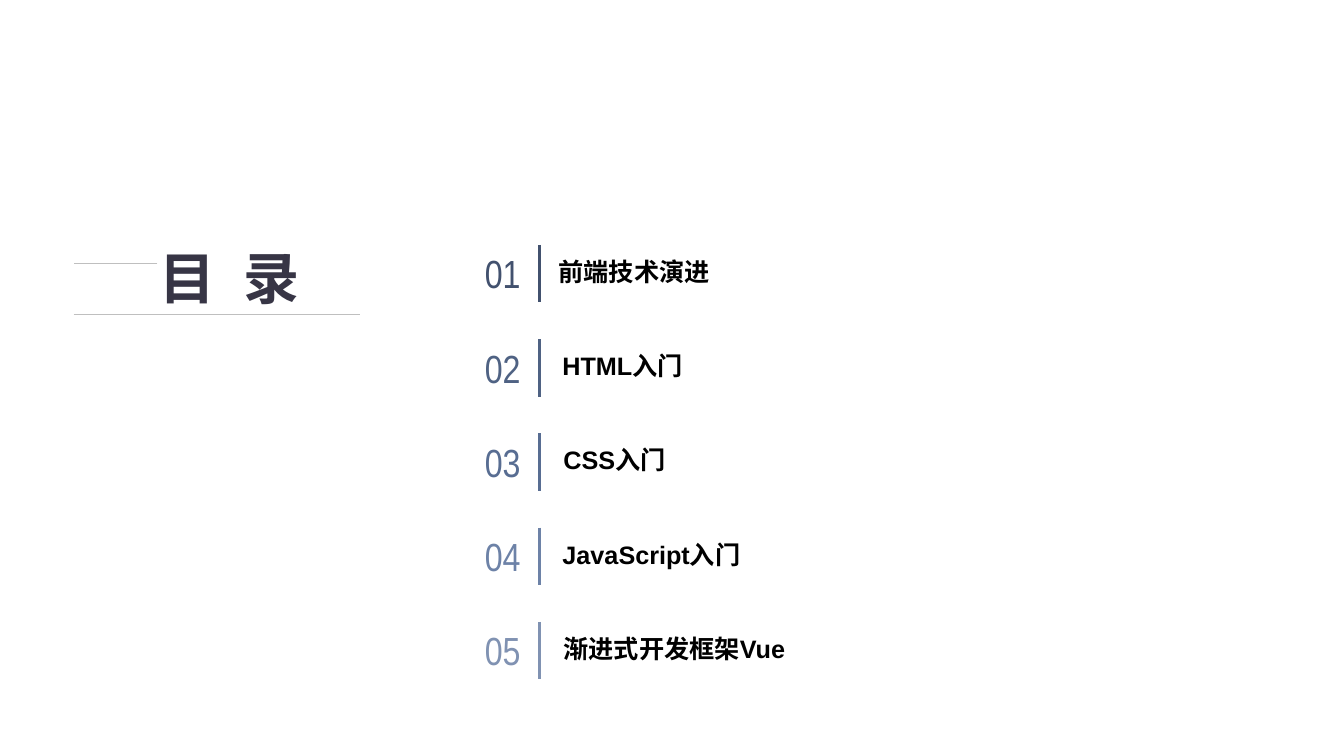
"""Build the contents slide: a ruled heading beside five numbered chapters."""
from lxml import etree
from pptx import Presentation
from pptx import util as u
from pptx.dml.color import RGBColor
from pptx.enum import shapes, text
from pptx.oxml.ns import qn

HEADING = "目 录"
HEADING_COLOR = RGBColor(0x37, 0x35, 0x45)
RULE_COLOR = RGBColor(0xBF, 0xBF, 0xBF)
LABEL_COLOR = RGBColor(0, 0, 0)

# label, accent colour, left edge of the label
CHAPTERS = [
    ("前端技术演进", RGBColor(0x42, 0x51, 0x6E), 5.44),
    ("HTML入门", RGBColor(0x4F, 0x62, 0x83), 5.48),
    ("CSS入门", RGBColor(0x58, 0x6D, 0x92), 5.49),
    ("JavaScript入门", RGBColor(0x6D, 0x82, 0xA7), 5.48),
    ("渐进式开发框架Vue", RGBColor(0x80, 0x92, 0xB2), 5.49),
]
HEADING_RULES = [(1.56, 0.73, 2.61), (0.73, 3.57, 3.12)]
FIRST_ROW, ROW_PITCH = 2.43, 0.935
NUMBER_LEFT, BAR_LEFT, BAR_HEIGHT = 4.71, 5.35, 0.57


def add_line(parent, start, end, color, width):
    points = [u.Inches(value) for value in (*start, *end)]
    line = parent.add_connector(shapes.MSO_CONNECTOR.STRAIGHT, *points)
    line.line.color.rgb = color
    line.line.width = u.Pt(width)
    etree.SubElement(line._element.spPr, qn("a:effectLst"))


def set_text(box, words, font, size, color, bold, anchor):
    frame = box.text_frame
    frame.word_wrap = False
    frame.auto_size = text.MSO_AUTO_SIZE.NONE
    frame.vertical_anchor = anchor
    para = frame.paragraphs[0]
    para.text = words
    para.alignment = text.PP_ALIGN.LEFT
    para.font.name = font
    para.font.size = u.Pt(size)
    para.font.bold = bold
    para.font.color.rgb = color
    return para


def add_heading(page):
    title = page.shapes.title
    title.left, title.top = u.Inches(1.48), u.Inches(2.43)
    title.width, title.height = u.Inches(1.75), u.Inches(0.72)
    para = set_text(title, HEADING, "Arial", 40, HEADING_COLOR, True,
                    text.MSO_ANCHOR.MIDDLE)
    para.line_spacing = 0.9
    para.runs[0].font._element.set("spc", "550")
    for start, end, height in HEADING_RULES:
        add_line(page.shapes, (start, height), (end, height), RULE_COLOR, 0.5)


def add_chapter(page, index, label, color, label_left):
    top = FIRST_ROW + index * ROW_PITCH
    parts = page.shapes.add_group_shape().shapes
    number = parts.add_textbox(u.Inches(NUMBER_LEFT), u.Inches(top + 0.03),
                               u.Inches(0.55), u.Inches(0.5))
    set_text(number, f"{index + 1:02d}", "Arial Narrow", 28, color, False,
             text.MSO_ANCHOR.MIDDLE)
    add_line(parts, (BAR_LEFT, top), (BAR_LEFT, top + BAR_HEIGHT), color, 2.25)
    name = parts.add_textbox(u.Inches(label_left), u.Inches(top + 0.08),
                             u.Inches(3.95), u.Inches(0.38))
    set_text(name, label, "Arial", 18, LABEL_COLOR, True,
             text.MSO_ANCHOR.BOTTOM)


def main():
    deck = Presentation()
    deck.slide_width, deck.slide_height = u.Inches(13.33), u.Inches(7.5)
    page = deck.slides.add_slide(deck.slide_layouts[5])
    add_heading(page)
    for index, chapter in enumerate(CHAPTERS):
        add_chapter(page, index, *chapter)
    deck.save("out.pptx")


if __name__ == "__main__":
    main()
